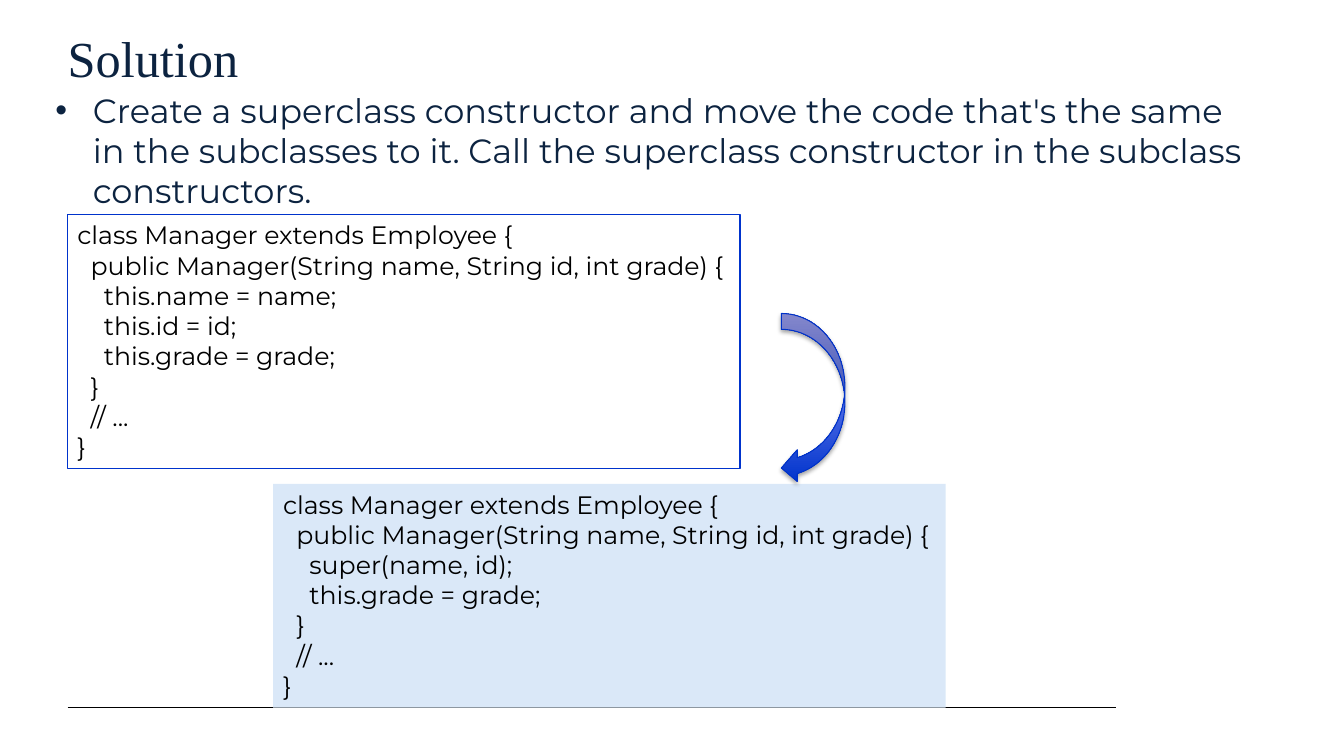
from lxml import etree
from pptx import Presentation
from pptx.dml.color import RGBColor
from pptx.enum.shapes import MSO_CONNECTOR as Connector, MSO_SHAPE as Shape
from pptx.enum.text import MSO_ANCHOR as Anchor, MSO_AUTO_SIZE as AutoSize, PP_ALIGN as Align
from pptx.oxml.ns import qn
from pptx.util import Inches, Pt

COLORS = {"navy": "0C2340", "black": "000000", "pale": "DAE8F8",
          "blue": "0033CC", "edge": "0032C8", "lilac": "A5A9FF"}

MANAGER = """class Manager extends Employee {
  public Manager(String name, String id, int grade) {
%s
    this.grade = grade;
  }
  // ...
}"""
BEFORE = MANAGER % "    this.name = name;\n    this.id = id;"
AFTER = MANAGER % "    super(name, id);"


def color(name):
    return RGBColor.from_string(COLORS[name])


class SlideBuilder:
    def __init__(self, page, code_font="Montserrat", title_font="Times New Roman"):
        self.page = page
        self.code_font = code_font
        self.title_font = title_font

    def style(self, para, size, font, ink):
        para.alignment = Align.LEFT
        para.font.size = Pt(size)
        para.font.name = font
        para.font.color.rgb = color(ink)

    def text(self, area, words, size, font, bullet_indent=None):
        box = self.page.shapes.add_textbox(*map(Inches, area))
        frame = box.text_frame
        frame.word_wrap = True
        frame.margin_left = frame.margin_top = 0
        para = frame.paragraphs[0]
        para.text = words
        if bullet_indent:
            props = para._p.get_or_add_pPr()
            props.set("marL", str(Inches(bullet_indent)))
            props.set("indent", str(-Inches(bullet_indent)))
            etree.SubElement(props, qn("a:buFont"), typeface="Arial")
            etree.SubElement(props, qn("a:buChar"), char="•")
        self.style(para, size, font, "navy")

    def shape(self, kind, area, line=None):
        item = self.page.shapes.add_shape(kind, *map(Inches, area))
        item.shadow.inherit = False
        if line:
            item.line.color.rgb = color(line)
            item.line.width = Pt(0.75)
        else:
            item.line.fill.background()
        return item

    def code(self, area, source, fill=None, line=None):
        box = self.shape(Shape.RECTANGLE, area, line)
        if fill:
            box.fill.solid()
            box.fill.fore_color.rgb = color(fill)
        else:
            box.fill.background()
        frame = box.text_frame
        frame.word_wrap = True
        frame.auto_size = AutoSize.SHAPE_TO_FIT_TEXT
        frame.vertical_anchor = Anchor.TOP
        frame.text = source
        for para in frame.paragraphs:
            self.style(para, 18, self.code_font, "black")

    def curved_arrow(self, area):
        arrow = self.shape(Shape.CURVED_LEFT_ARROW, area, "edge")
        arrow.fill.gradient()
        arrow.fill.gradient_angle = 90
        for stop, position, name in zip(arrow.fill.gradient_stops, (0, 1), ("blue", "lilac")):
            stop.position = position
            stop.color.rgb = color(name)
        effects = arrow._element.spPr.find(qn("a:effectLst"))
        shadow = etree.SubElement(effects, qn("a:outerShdw"), blurRad=str(Pt(3.1)),
                                  dist=str(Pt(1.8)), dir="5400000", rotWithShape="0")
        tint = etree.SubElement(shadow, qn("a:srgbClr"), val=COLORS["black"])
        etree.SubElement(tint, qn("a:alpha"), val="35000")

    def rule(self, left, right, top):
        line = self.page.shapes.add_connector(
            Connector.STRAIGHT, Inches(left), Inches(top), Inches(right), Inches(top))
        line.line.color.rgb = color("black")
        line.line.width = Pt(0.75)
        etree.SubElement(line._element.spPr, qn("a:effectLst"))


def main():
    deck = Presentation()
    deck.slide_width, deck.slide_height = Inches(13.33), Inches(7.5)
    builder = SlideBuilder(deck.slides.add_slide(deck.slide_layouts[6]))

    # Footer rule, title and advice
    builder.rule(0.67, 11.07, 7.02)
    builder.text((0.67, 0.27, 10.41, 0.93), "Solution", 36, builder.title_font)
    builder.text((0.55, 0.89, 11.89, 4.71),
                 "Create a superclass constructor and move the code that's the same in the "
                 "subclasses to it. Call the superclass constructor in the subclass constructors.",
                 24, builder.code_font, bullet_indent=0.37)

    # Code after and before the change, joined by the arrow
    builder.code((2.71, 4.8, 6.67, 2.22), AFTER, fill="pale")
    builder.code((0.67, 2.13, 6.67, 2.52), BEFORE, line="blue")
    builder.curved_arrow((7.75, 3.11, 0.63, 1.69))

    deck.save("out.pptx")


if __name__ == "__main__":
    main()
